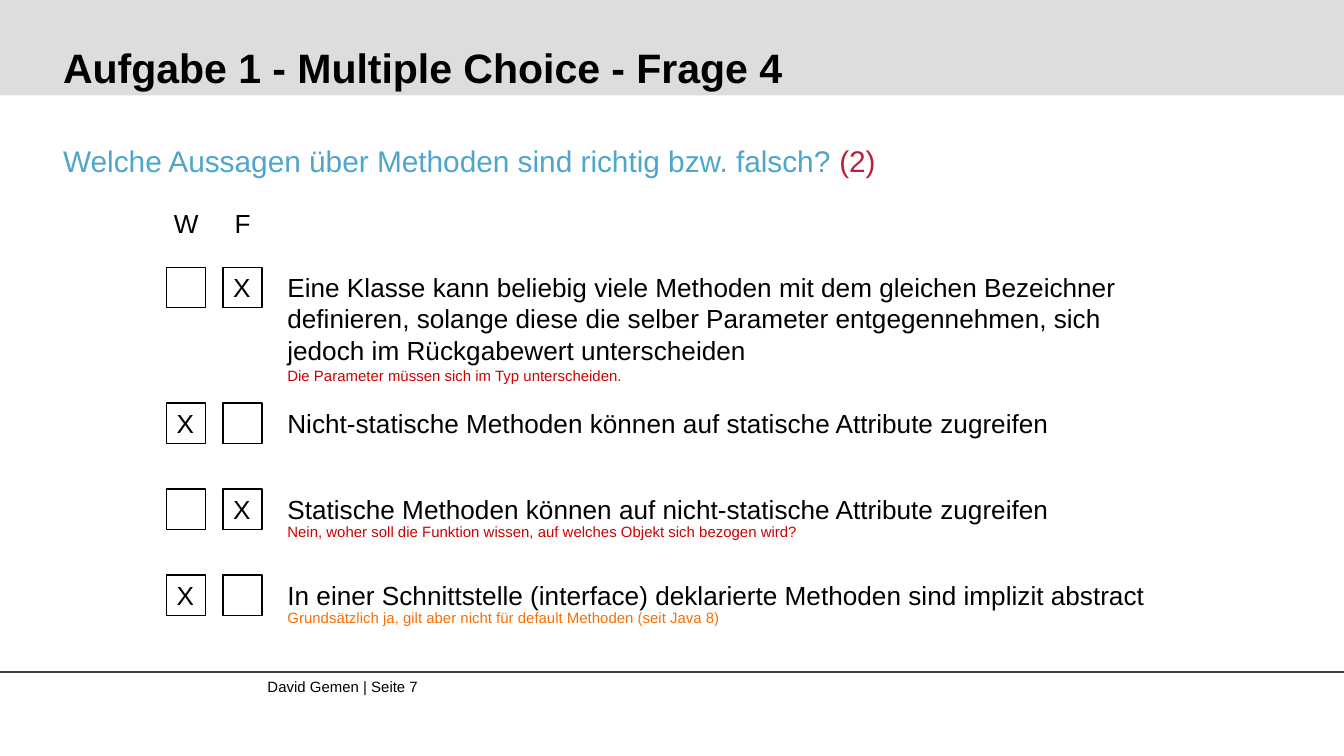
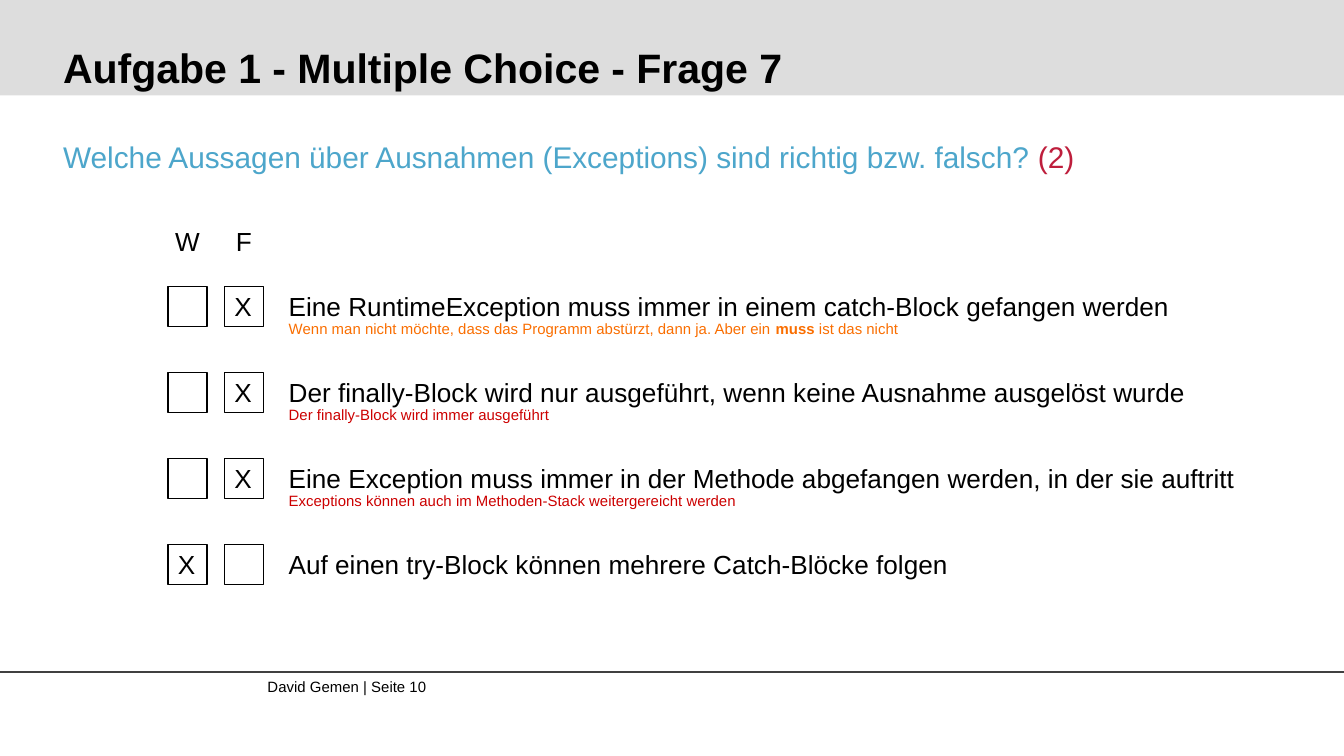
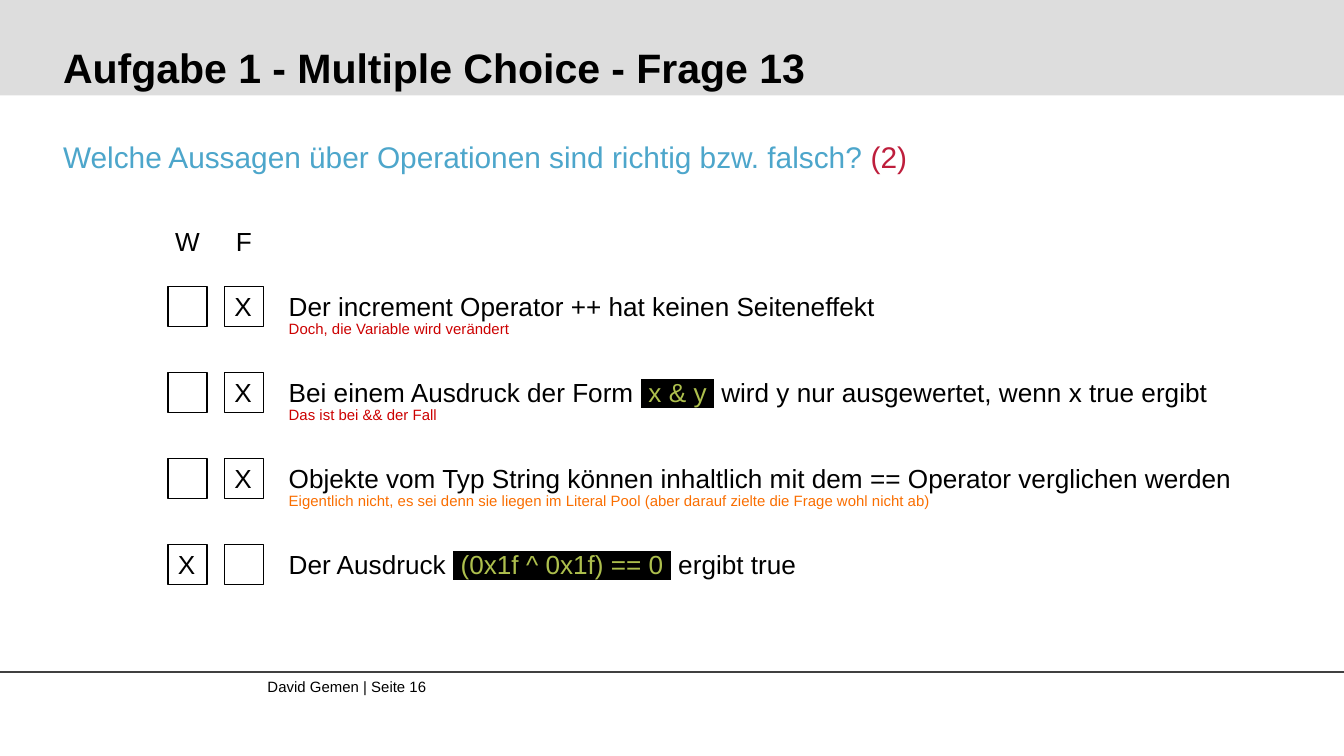
from dataclasses import dataclass

from lxml import etree
from pptx import Presentation
from pptx.dml.color import RGBColor
from pptx.enum.shapes import MSO_CONNECTOR, MSO_SHAPE
from pptx.enum.text import MSO_ANCHOR, MSO_AUTO_SIZE, PP_ALIGN
from pptx.oxml.ns import qn
from pptx.slide import Slide
from pptx.util import Inches, Pt

RECTANGLE = MSO_SHAPE.RECTANGLE
STRAIGHT = MSO_CONNECTOR.STRAIGHT
TOP = MSO_ANCHOR.TOP
BOTTOM = MSO_ANCHOR.BOTTOM
LEFT = PP_ALIGN.LEFT
CENTER = PP_ALIGN.CENTER
FIT_SHAPE = MSO_AUTO_SIZE.SHAPE_TO_FIT_TEXT
FIT_NONE = MSO_AUTO_SIZE.NONE

FONT = "Arial"
BLACK = "000000"
RULE_GRAY = "404040"
BAND_GRAY = "DDDDDD"
QUESTION_BLUE = "4DA6CB"
POINTS_RED = "BE1E3C"
WRONG_RED = "CC0000"
CAVEAT_ORANGE = "FA6E00"
CODE_GREEN = "ADBF4D"

SLIDE_WIDTH = 10
SLIDE_HEIGHT = SLIDE_WIDTH * 9 / 16
MARGIN = 0.47
CONTENT_WIDTH = 9.16
INSET = 0.1
LINE_WEIGHT = 0.75
ROW_STEP = 0.64
ROW_HEIGHT = 0.44
STATEMENT_WIDTHS = (6.77, 7.3, 7.33, 6.94)
COLUMN_STEP = 0.42
ANSWERS = ("W", "F")


@dataclass(frozen=True)
class Span:
    text: str
    color: str = BLACK
    bold: bool = False
    highlight: str = ""


@dataclass(frozen=True)
class Note:
    spans: tuple[Span, ...]
    width: float = 4.07


@dataclass(frozen=True)
class Statement:
    answer: str
    spans: tuple[Span, ...]
    note: Note | None = None
    extra_height: float = 0


@dataclass(frozen=True)
class Question:
    number: int
    page: int
    text: str
    text_top: float
    left: float
    first_top: float
    second_top: float
    statements: tuple[Statement, ...]


def rgb(color: str) -> RGBColor:
    return RGBColor.from_string(color)


def code(text: str) -> Span:
    return Span(text, CODE_GREEN, highlight=BLACK)


def wrong(text: str, width: float = 4.07) -> Note:
    return Note((Span(text, WRONG_RED),), width)


def add_text(slide: Slide, left: float, top: float, width: float, height: float,
             spans: tuple[Span, ...], size: float, inset: float = INSET,
             align: PP_ALIGN = LEFT, anchor: MSO_ANCHOR = TOP,
             fit: MSO_AUTO_SIZE = FIT_SHAPE) -> None:
    box = slide.shapes.add_textbox(Inches(left), Inches(top), Inches(width), Inches(height))
    frame = box.text_frame
    frame.word_wrap = True
    frame.auto_size = fit
    frame.vertical_anchor = anchor
    frame.margin_left = frame.margin_right = Inches(inset)
    frame.margin_top = frame.margin_bottom = Inches(inset)
    paragraph = frame.paragraphs[0]
    paragraph.alignment = align
    for span in spans:
        run = paragraph.add_run()
        run.text = span.text
        run.font.name = FONT
        run.font.size = Pt(size)
        run.font.bold = span.bold
        run.font.color.rgb = rgb(span.color)
        if span.highlight:
            highlight = etree.Element(qn("a:highlight"))
            etree.SubElement(highlight, qn("a:srgbClr"), val=span.highlight)
            run._r.rPr.find(qn("a:solidFill")).addnext(highlight)


def add_band(slide: Slide) -> None:
    band = slide.shapes.add_shape(RECTANGLE, 0, 0, Inches(SLIDE_WIDTH), Inches(0.71))
    band.shadow.inherit = False
    band.fill.solid()
    band.fill.fore_color.rgb = rgb(BAND_GRAY)
    band.line.fill.background()


def add_footer(slide: Slide, page: int) -> None:
    rule = slide.shapes.add_connector(STRAIGHT, 0, Inches(5), Inches(SLIDE_WIDTH), Inches(5))
    rule.line.color.rgb = rgb(RULE_GRAY)
    rule.line.width = Pt(LINE_WEIGHT)
    etree.SubElement(rule._element.spPr, qn("a:effectLst"))
    add_text(slide, 1.99, 5.04, 4.22, 0.27, (Span(f"David Gemen | Seite {page}"),), 8, inset=0)


def add_checkbox(slide: Slide, left: float, top: float) -> None:
    checkbox = slide.shapes.add_shape(RECTANGLE, Inches(left), Inches(top), Inches(0.29), Inches(0.3))
    checkbox.shadow.inherit = False
    checkbox.fill.background()
    checkbox.line.color.rgb = rgb(BLACK)
    checkbox.line.width = Pt(LINE_WEIGHT)


def add_statement(slide: Slide, statement: Statement, left: float, top: float, width: float) -> None:
    text_left = left + 0.8
    add_text(slide, text_left, top, width, ROW_HEIGHT + statement.extra_height, statement.spans, 14)
    for column, answer in enumerate(ANSWERS):
        column_left = left + column * COLUMN_STEP
        add_checkbox(slide, column_left, top + 0.07)
        if answer == statement.answer:
            add_text(slide, column_left - 0.04, top, 0.36, ROW_HEIGHT, (Span("X"),), 14, align=CENTER)
    if statement.note:
        add_text(slide, text_left, top + 0.25 + statement.extra_height, statement.note.width, 0.34,
                 statement.note.spans, 8)


def add_question(slide: Slide, question: Question) -> None:
    add_band(slide)
    add_footer(slide, question.page)
    title = Span(f"Aufgabe 1 - Multiple Choice - Frage {question.number}", bold=True)
    add_text(slide, MARGIN, 0.1, CONTENT_WIDTH, 0.58, (title,), 22, inset=0, anchor=BOTTOM, fit=FIT_NONE)
    prompt = (Span(question.text + " ", QUESTION_BLUE), Span("(2)", POINTS_RED))
    add_text(slide, MARGIN, question.text_top, CONTENT_WIDTH, 0.34, prompt, 16, inset=0, fit=FIT_NONE)
    for column, answer in enumerate(ANSWERS):
        add_text(slide, question.left - 0.06 + column * COLUMN_STEP, question.first_top - 0.48,
                 0.41, ROW_HEIGHT, (Span(answer),), 14, align=CENTER)
    for row, (statement, width) in enumerate(zip(question.statements, STATEMENT_WIDTHS)):
        top = question.second_top + (row - 1) * ROW_STEP if row else question.first_top
        add_statement(slide, statement, question.left, top, width)


QUESTIONS = (
    Question(4, 7, "Welche Aussagen über Methoden sind richtig bzw. falsch?", 1.06, 1.24, 1.92, 2.93, (
        Statement("F", (Span("Eine Klasse kann beliebig viele Methoden mit dem gleichen Bezeichner "
                             "definieren, solange diese die selber Parameter entgegennehmen, sich "
                             "jedoch im Rückgabewert unterscheiden"),),
                  wrong("Die Parameter müssen sich im Typ unterscheiden.", 2.7), 0.49),
        Statement("W", (Span("Nicht-statische Methoden können auf statische Attribute zugreifen"),)),
        Statement("F", (Span("Statische Methoden können auf nicht-statische Attribute zugreifen"),),
                  wrong("Nein, woher soll die Funktion wissen, auf welches Objekt sich bezogen wird?")),
        Statement("W", (Span("In einer Schnittstelle (interface) deklarierte Methoden sind implizit abstract"),),
                  Note((Span("Grundsätzlich ja, gilt aber nicht für default Methoden (seit Java 8)",
                             CAVEAT_ORANGE),), 3.49)),
    )),
    Question(7, 10, "Welche Aussagen über Ausnahmen (Exceptions) sind richtig bzw. falsch?",
             1.03, 1.25, 2.06, 2.7, (
        Statement("F", (Span("Eine RuntimeException muss immer in einem catch-Block gefangen werden"),),
                  Note((Span("Wenn man nicht möchte, dass das Programm abstürzt, dann ja. Aber ein ",
                             CAVEAT_ORANGE),
                        Span("muss", CAVEAT_ORANGE, bold=True),
                        Span(" ist das nicht", CAVEAT_ORANGE)), 4.82)),
        Statement("F", (Span("Der finally-Block wird nur ausgeführt, wenn keine Ausnahme ausgelöst wurde"),),
                  wrong("Der finally-Block wird immer ausgeführt")),
        Statement("F", (Span("Eine Exception muss immer in der Methode abgefangen werden, in der sie auftritt"),),
                  wrong("Exceptions können auch im Methoden-Stack weitergereicht werden")),
        Statement("W", (Span("Auf einen try-Block können mehrere Catch-Blöcke folgen"),)),
    )),
    Question(13, 16, "Welche Aussagen über Operationen sind richtig bzw. falsch?", 1.03, 1.25, 2.06, 2.7, (
        Statement("F", (Span("Der increment Operator ++ hat keinen Seiteneffekt"),),
                  wrong("Doch, die Variable wird verändert", 4.82)),
        Statement("F", (Span("Bei einem Ausdruck der Form "), code(" x & y "),
                        Span(" wird y nur ausgewertet, wenn x true ergibt")),
                  wrong("Das ist bei && der Fall")),
        Statement("F", (Span("Objekte vom Typ String können inhaltlich mit dem == Operator verglichen werden"),),
                  Note((Span("Eigentlich nicht, es sei denn sie liegen im Literal Pool "
                             "(aber darauf zielte die Frage wohl nicht ab)", CAVEAT_ORANGE),), 5.89)),
        Statement("W", (Span("Der Ausdruck "), code(" (0x1f ^ 0x1f) == 0 "), Span(" ergibt true"))),
    )),
)


def main() -> None:
    presentation = Presentation()
    presentation.slide_width = Inches(SLIDE_WIDTH)
    presentation.slide_height = Inches(SLIDE_HEIGHT)
    blank_layout = presentation.slide_layouts[6]
    for question in QUESTIONS:
        add_question(presentation.slides.add_slide(blank_layout), question)
    presentation.save("out.pptx")


if __name__ == "__main__":
    main()
